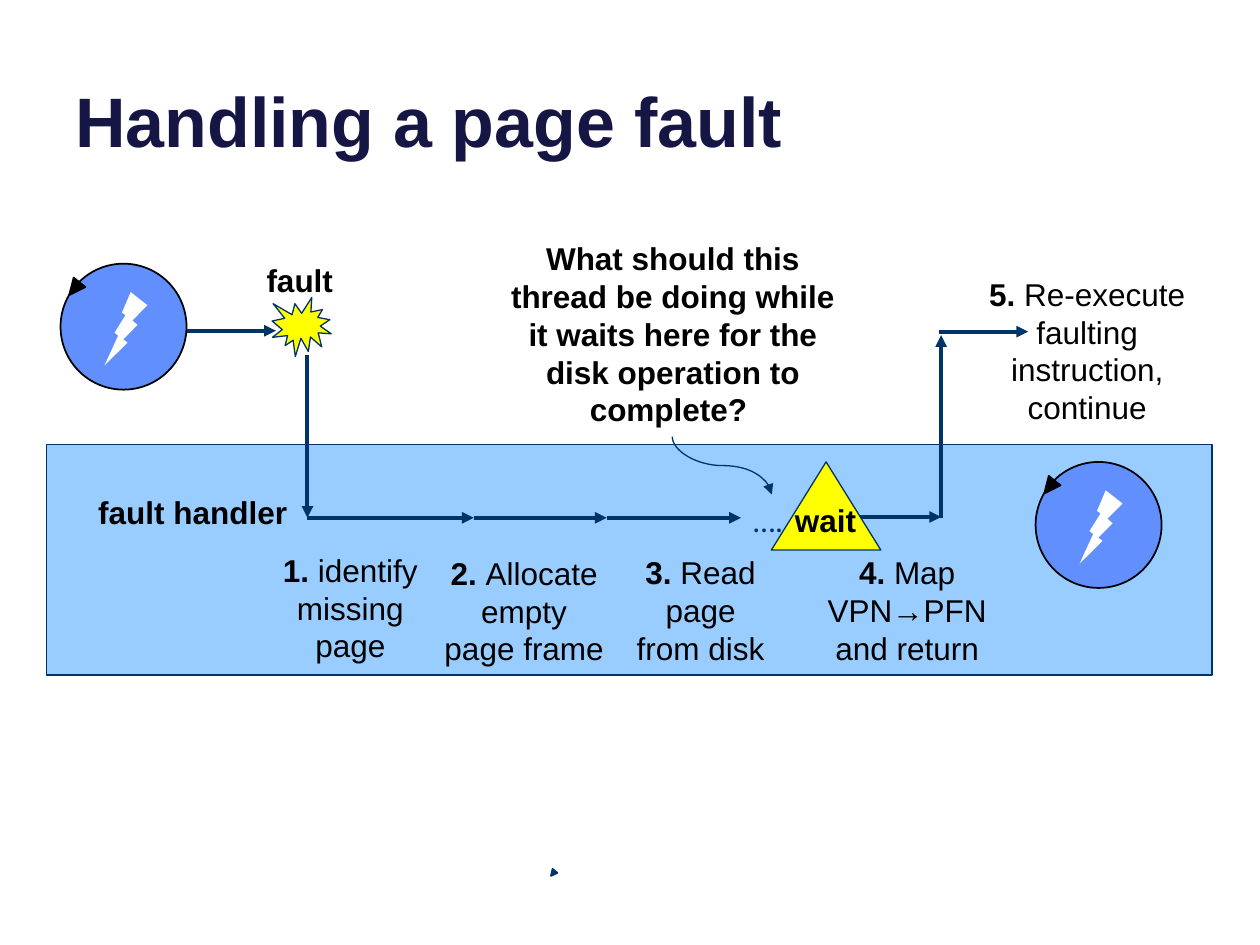
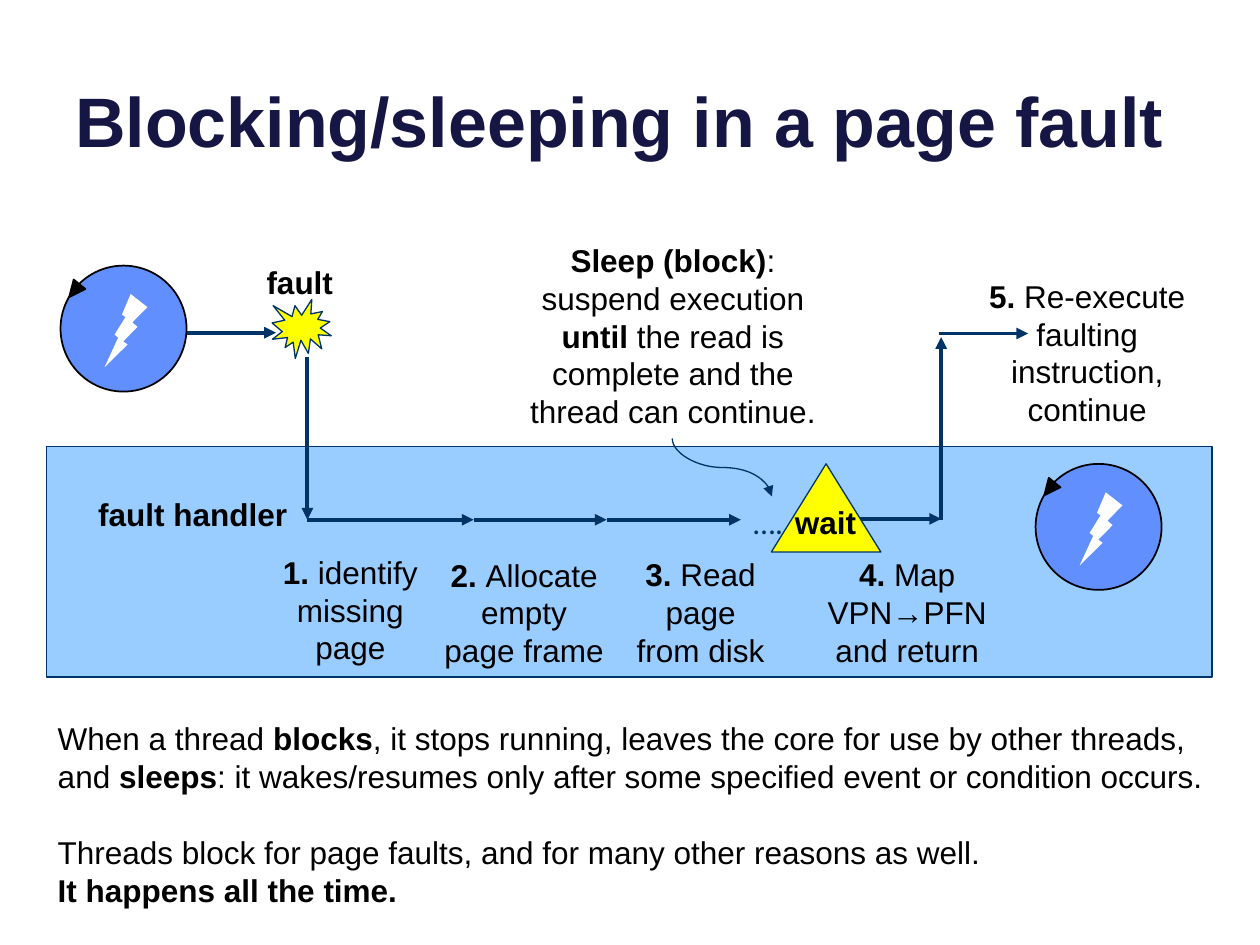
from dataclasses import dataclass
from typing import Any, Optional

import pptx
import pptx.dml.color
import pptx.enum.shapes
import pptx.enum.text
import pptx.oxml.ns
import pptx.util
from lxml import etree

Pt = pptx.util.Pt
RGB = pptx.dml.color.RGBColor
Preset = pptx.enum.shapes.MSO_SHAPE
Route = pptx.enum.shapes.MSO_CONNECTOR
Align = pptx.enum.text.PP_ALIGN
Anchor = pptx.enum.text.MSO_ANCHOR
AutoSize = pptx.enum.text.MSO_AUTO_SIZE
qn = pptx.oxml.ns.qn


@dataclass(frozen=True)
class Theme:
    title: RGB = RGB(0x16, 0x16, 0x45)
    ink: RGB = RGB(0, 0, 0)
    navy: RGB = RGB(0x00, 0x33, 0x67)
    band: RGB = RGB(0x99, 0xCC, 0xFF)
    thread: RGB = RGB(0x61, 0x8F, 0xFD)
    alert: RGB = RGB(0xFF, 0xFF, 0x00)
    white: RGB = RGB(0xFF, 0xFF, 0xFF)
    font: str = "Arial"
    dots_font: str = "Calibri"
    title_size: float = 40
    text_size: float = 18
    line_pitch: float = 21.6
    hairline: float = 0.75
    outline: float = 1
    flow: float = 2.25


THEME = Theme()


@dataclass(frozen=True)
class Box:
    left: float
    top: float
    width: float
    height: float

    def moved(self, right: float, down: float) -> "Box":
        return Box(self.left + right, self.top + down, self.width, self.height)

    def lengths(self) -> tuple:
        return Pt(self.left), Pt(self.top), Pt(self.width), Pt(self.height)


@dataclass(frozen=True)
class Label:
    """Paragraphs split at newlines; bold parts stand between double asterisks."""
    text: str
    box: Box
    align: Any = Align.CENTER
    color: RGB = THEME.ink
    font: str = THEME.font
    wrap: bool = True
    gap_before: Optional[int] = None


@dataclass(frozen=True)
class Figure:
    preset: Any
    box: Box
    fill: RGB
    line: Optional[RGB] = None
    line_width: float = THEME.outline
    rotation: float = 0
    flip: str = ""


@dataclass(frozen=True)
class Arrow:
    x1: float
    y1: float
    x2: float
    y2: float
    route: Any = Route.STRAIGHT
    width: float = THEME.flow
    rotation: int = 0


@dataclass(frozen=True)
class FaultSlide:
    title: str
    drop: float
    callout: str
    notes: str = ""
    stray_head: bool = False


# Flow of control: the handler runs along one level, the thread above it.
FAULT_X, RETURN_X = 175.7, 537.8
HANDLER_Y, THREAD_Y = 295.9, 189
STEP_X = (FAULT_X, 270.7, 346.7, 423.4)

THREAD_PARTS = (
    Figure(Preset.OVAL, Box(0, 0, 72, 72), THEME.thread, THEME.ink),
    Figure(Preset.LIGHTNING_BOLT, Box(25.2, 16.2, 24.5, 41.8), THEME.white, flip="flipH"),
    Figure(Preset.ISOSCELES_TRIANGLE, Box(3.6, 9.6, 8.6, 9.4), THEME.ink, THEME.ink,
           rotation=219),
)
THREAD_SPOTS = ((34.6, 150.7), (591.8, 264))

BAND = Figure(Preset.FLOWCHART_PROCESS, Box(26.6, 254, 666, 131.6), THEME.band, THEME.navy)
FAULT_BURST = Figure(Preset.EXPLOSION1, Box(155.5, 170, 33.8, 33.8), THEME.alert,
                     THEME.navy, THEME.hairline)
WAIT_SIGN = Figure(Preset.FLOWCHART_MERGE, Box(440.8, 264, 62.6, 50.4), THEME.alert,
                   THEME.navy, THEME.hairline, flip="flipV")
STRAY_HEAD = Figure(Preset.ISOSCELES_TRIANGLE, Box(314.2, 497.3, 3.6, 3.6), THEME.navy,
                    THEME.navy, rotation=219)

FLOW = (
    Arrow(106.6, THREAD_Y, 157.7, THREAD_Y),
    Arrow(FAULT_X, 202.9, FAULT_X, HANDLER_Y),
    *(Arrow(start, HANDLER_Y, end, HANDLER_Y) for start, end in zip(STEP_X, STEP_X[1:])),
    Arrow(460.8, HANDLER_Y - 0.5, RETURN_X, HANDLER_Y - 0.5),
    Arrow(RETURN_X, HANDLER_Y, RETURN_X, 191.5),
    Arrow(536.4, THREAD_Y + 0.5, 587.5, THREAD_Y + 0.5),
    Arrow(429.1, 237.6, 396, 294.5, Route.CURVE, THEME.hairline, 270),
)

LABELS = (
    Label("**fault**", Box(127.4, 145.4, 87.8, 29.2)),
    Label("**fault handler**", Box(46.8, 278, 126.7, 29.2)),
    Label("**1. **identify\nmissing page", Box(146.2, 311.2, 108, 72.7)),
    Label("**2. **Allocate empty page frame", Box(246.2, 312.9, 106.6, 72.7)),
    Label("**3. **Read page from disk", Box(352.8, 312.6, 95, 72.7)),
    Label("**4. **Map VPN→PFN and return", Box(460.8, 312.6, 115.2, 72.7)),
    Label("**5. **Re-execute faulting instruction, continue", Box(545, 153.5, 152.6, 95)),
    Label("…..", Box(423.4, 282.8, 36, 28.8), Align.LEFT, THEME.navy, THEME.dots_font,
          wrap=False),
)
WAIT_LABEL = Label("**wait**", Box(447.1, 282.8, 49.7, 28.8), Align.LEFT, wrap=False)
CALLOUT_BOX = Box(284.4, 133.1, 200.2, 116.6)
NOTES_BOX = Box(25.9, 407.5, 671, 116.6)
TITLE_BOX = Box(36, -26.6, 648, 122.4)

SLIDES = (
    FaultSlide(
        "Handling a page fault", 0,
        "**What should this thread be doing while it waits here for the disk operation"
        " to complete? **",
        stray_head=True,
    ),
    FaultSlide(
        "Blocking/sleeping in a page fault", 1.1,
        "**Sleep (block)**: suspend execution** until **the read is complete and the"
        " thread can continue.",
        "When a thread **blocks**, it stops running, leaves the core for use by other"
        " threads, and **sleeps**: it wakes/resumes only after some specified event or"
        " condition occurs.\n"
        "Threads block for page faults, and for many other reasons as well.\n"
        "**It happens all the time.**",
    ),
)


def draw_figure(shapes: Any, figure: Figure, right: float = 0, down: float = 0) -> None:
    shape = shapes.add_shape(figure.preset, *figure.box.moved(right, down).lengths())
    shape.shadow.inherit = False
    shape.fill.solid()
    shape.fill.fore_color.rgb = figure.fill
    if figure.line is None:
        shape.line.fill.background()
    else:
        shape.line.color.rgb = figure.line
        shape.line.width = Pt(figure.line_width)
    shape.rotation = figure.rotation
    if figure.flip:
        shape.element.spPr.find(qn("a:xfrm")).set(figure.flip, "1")


def draw_arrow(shapes: Any, arrow: Arrow, down: float) -> None:
    connector = shapes.add_connector(
        arrow.route, Pt(arrow.x1), Pt(arrow.y1 + down), Pt(arrow.x2), Pt(arrow.y2 + down))
    connector.line.color.rgb = THEME.navy
    connector.line.width = Pt(arrow.width)
    properties = connector.element.spPr
    etree.SubElement(properties.find(qn("a:ln")), qn("a:tailEnd"), type="triangle")
    etree.SubElement(properties, qn("a:effectLst"))
    if arrow.rotation:
        properties.find(qn("a:xfrm")).set("rot", str(arrow.rotation * 60000))


def draw_label(shapes: Any, label: Label, down: float) -> None:
    box = shapes.add_textbox(*label.box.moved(0, down).lengths())
    frame = box.text_frame
    frame.word_wrap = label.wrap
    frame.auto_size = AutoSize.SHAPE_TO_FIT_TEXT
    for index, line in enumerate(label.text.split("\n")):
        paragraph = frame.add_paragraph() if index else frame.paragraphs[0]
        paragraph.alignment = label.align
        paragraph.line_spacing = Pt(THEME.line_pitch)
        if index == label.gap_before:
            paragraph.space_before = Pt(THEME.line_pitch)
        for part, words in enumerate(line.split("**")):
            if words:
                run = paragraph.add_run()
                run.text = words
                run.font.name = label.font
                run.font.size = Pt(THEME.text_size)
                run.font.bold = part % 2 == 1
                run.font.color.rgb = label.color


def draw_title(shapes: Any, title: str) -> None:
    frame = shapes.add_textbox(*TITLE_BOX.lengths()).text_frame
    frame.word_wrap = True
    frame.vertical_anchor = Anchor.BOTTOM
    frame.text = title
    font = frame.paragraphs[0].runs[0].font
    font.name = THEME.font
    font.size = Pt(THEME.title_size)
    font.bold = True
    font.color.rgb = THEME.title


def draw_thread(shapes: Any, left: float, top: float) -> None:
    icon = shapes.add_group_shape().shapes
    for part in THREAD_PARTS:
        draw_figure(icon, part, left, top)


def build_slide(deck: Any, content: FaultSlide) -> None:
    shapes = deck.slides.add_slide(deck.slide_layouts[6]).shapes
    down = content.drop
    draw_title(shapes, content.title)
    draw_figure(shapes, BAND, down=down)
    for left, top in THREAD_SPOTS:
        draw_thread(shapes, left, top + down)
    if content.stray_head:
        draw_figure(shapes, STRAY_HEAD)
    draw_figure(shapes, FAULT_BURST, down=down)
    for arrow in FLOW:
        draw_arrow(shapes, arrow, down)
    for label in (*LABELS, Label(content.callout, CALLOUT_BOX)):
        draw_label(shapes, label, down)
    wait = shapes.add_group_shape().shapes
    draw_figure(wait, WAIT_SIGN, down=down)
    draw_label(wait, WAIT_LABEL, down)
    if content.notes:
        draw_label(shapes, Label(content.notes, NOTES_BOX, Align.LEFT, gap_before=1), 0)


def main() -> None:
    deck = pptx.Presentation()
    deck.slide_width, deck.slide_height = Pt(720), Pt(540)
    for content in SLIDES:
        build_slide(deck, content)
    deck.save("out.pptx")


if __name__ == "__main__":
    main()
